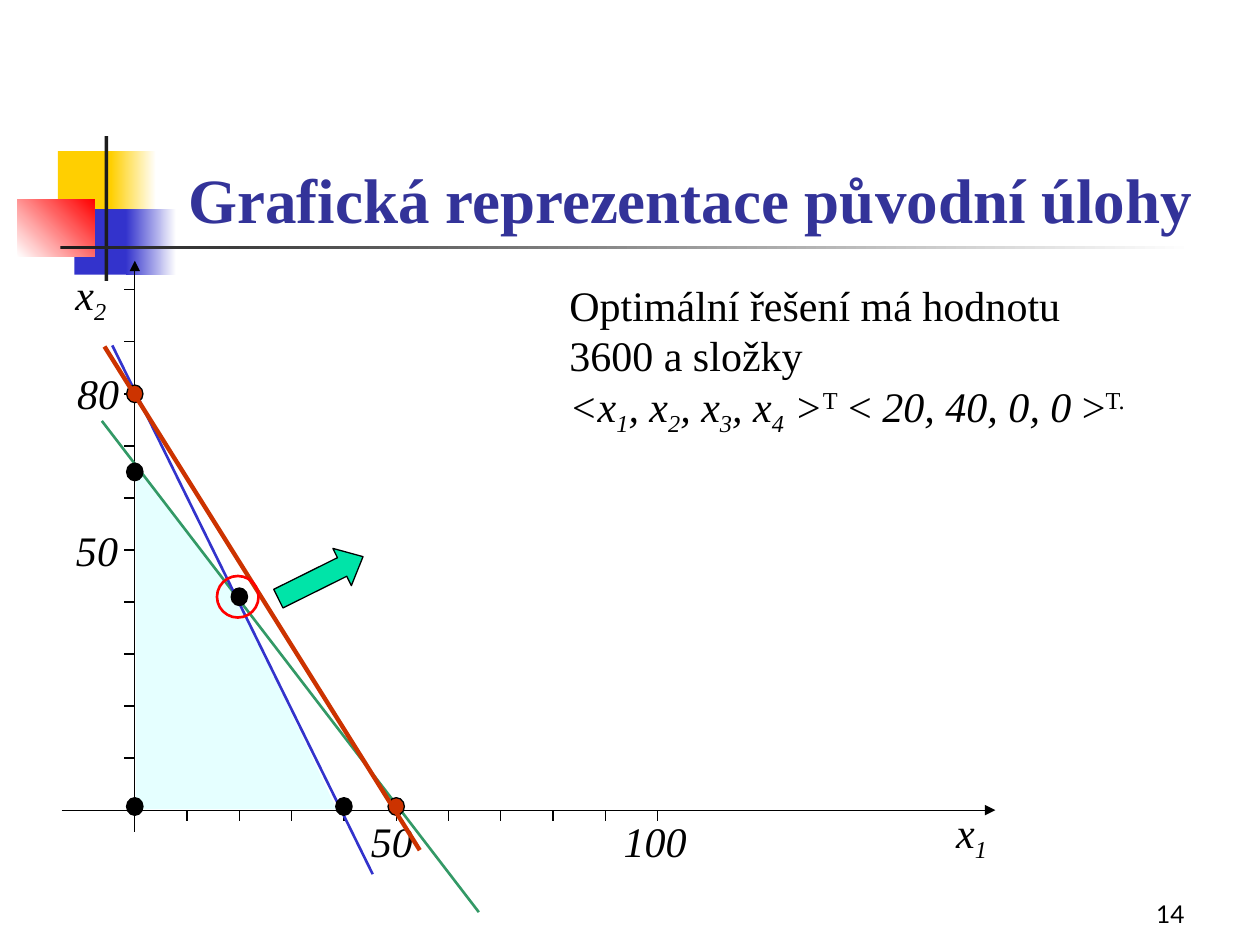
from lxml.etree import SubElement
from pptx import Presentation
from pptx.dml.color import RGBColor
from pptx.enum.shapes import MSO_CONNECTOR, MSO_SHAPE
from pptx.enum.text import MSO_ANCHOR, PP_ALIGN
from pptx.oxml.ns import qn
from pptx.util import Inches, Pt

COLORS = {
    "black": "000000", "white": "FFFFFF", "dark": "1C1C1C", "title": "333399",
    "yellow": "FFCF01", "blue": "3333CC", "red": "FF0000", "green": "339966",
    "orange": "CC3300", "region": "CCFFFF", "arrow": "00E4A8",
}
SERIF = "Times New Roman"
ORIGIN_X, ORIGIN_Y = 1.07, 6.43
UNIT_X, UNIT_Y = 0.0415, 0.0413
TICK = 0.085


def rgb(name):
    """Return the named colour."""
    return RGBColor.from_string(COLORS[name])


def graph(x, y):
    """Turn graph units into inches on the slide."""
    return ORIGIN_X + x * UNIT_X, ORIGIN_Y - y * UNIT_Y


def add_shape(s, kind, box, fill=None, line=None, width=0.75):
    """Add a preset shape; a pair of fill colours makes a gradient."""
    sp = s.shapes.add_shape(kind, *map(Inches, box))
    sp.shadow.inherit = False
    if fill is None:
        sp.fill.background()
    elif isinstance(fill, tuple):
        sp.fill.gradient()
        sp.fill.gradient_angle = 0
        for stop, name in zip(sp.fill.gradient_stops, fill):
            stop.color.rgb = rgb(name)
    else:
        sp.fill.solid()
        sp.fill.fore_color.rgb = rgb(fill)
    if line:
        sp.line.color.rgb = rgb(line)
        sp.line.width = Pt(width)
    else:
        sp.line.fill.background()
    return sp


def add_circle(s, point, size, **style):
    """Add an ellipse centred on a graph point."""
    x, y = graph(*point)
    w, h = size
    return add_shape(s, MSO_SHAPE.OVAL, (x - w / 2, y - h / 2, w, h), **style)


def add_line(s, start, end, color="black", width=0.75, arrow=None):
    """Add a straight line between two places in inches."""
    cx = s.shapes.add_connector(MSO_CONNECTOR.STRAIGHT, *map(Inches, (*start, *end)))
    cx.line.color.rgb = rgb(color)
    cx.line.width = Pt(width)
    if arrow:
        SubElement(cx.line._get_or_add_ln(), qn(f"a:{arrow}"), type="triangle")
    SubElement(cx._element.spPr, qn("a:effectLst"))


def add_text(s, box, runs, size=24, color="black", font=SERIF, bold=False,
             align=PP_ALIGN.LEFT, anchor=MSO_ANCHOR.TOP):
    """Add a text box from (text, italic, baseline percent) runs."""
    tf = s.shapes.add_textbox(*map(Inches, box)).text_frame
    tf.word_wrap = True
    tf.vertical_anchor = anchor
    p = tf.paragraphs[0]
    p.alignment = align
    p.font.size, p.font.name, p.font.bold = Pt(size), font, bold
    p.font.color.rgb = rgb(color)
    for text, italic, baseline in runs:
        if text == "\n":
            p.add_line_break()
            continue
        r = p.add_run()
        r.text = text
        r.font.italic = italic
        if baseline:
            r._r.get_or_add_rPr().set("baseline", str(baseline * 1000))


def add_ornament(s):
    """Draw the coloured blocks and bars beside the title."""
    blocks = [
        ((0.46, 1.2, 0.48, 0.52), "yellow"),
        ((0.88, 1.2, 0.36, 0.52), ("yellow", "white")),
        ((0.59, 1.66, 0.46, 0.52), "blue"),
        ((1, 1.66, 0.4, 0.52), ("blue", "white")),
        ((0.14, 1.58, 0.61, 0.46), ("white", "red")),
        ((0.83, 1.08, 0.03, 1.15), "dark"),
        ((0.48, 1.95, 9, 0.03), ("dark", "white")),
    ]
    for box, fill in blocks:
        sp = add_shape(s, MSO_SHAPE.RECTANGLE, box, fill)
        if fill == ("white", "red"):
            sp.fill.gradient_angle = 45


def add_region(s):
    """Fill the feasible region."""
    corners = [graph(*c) for c in ((0.2, 66.8), (0.2, 0.2), (38.6, 0.2), (19.3, 41.2))]
    points = [(Inches(x), Inches(y)) for x, y in corners]
    builder = s.shapes.build_freeform(*points[0])
    builder.add_line_segments(points[1:], close=True)
    sp = builder.convert_to_shape()
    sp.shadow.inherit = False
    sp.fill.solid()
    sp.fill.fore_color.rgb = rgb("region")
    SubElement(sp._element.spPr.find(f".//{qn('a:srgbClr')}"), qn("a:alpha"), val="50000")
    sp.line.fill.background()


def add_axes(s):
    """Draw both axes with ticks, names and numbers."""
    add_line(s, (ORIGIN_X, 2.07), (ORIGIN_X, 6.6), arrow="headEnd")
    add_line(s, (0.49, ORIGIN_Y), (7.9, ORIGIN_Y), arrow="tailEnd")
    for value in range(10, 101, 10):
        x, y = graph(value, value)
        add_line(s, (x, ORIGIN_Y), (x, ORIGIN_Y + TICK))
        add_line(s, (ORIGIN_X - TICK, y), (ORIGIN_X, y))
    for left, top, index in ((7.49, 6.35, "1"), (0.5, 2.08, "2")):
        add_text(s, (left, top, 1.08, 0.56), [("x", True, 0), (index, True, -25)])
    for left, top, number in ((2.61, 6.42, "50"), (4.7, 6.42, "100"),
                              (0.27, 4.11, "50"), (0.28, 2.87, "80")):
        add_text(s, (left, top, 1, 0.5), [(number, True, 0)], align=PP_ALIGN.CENTER)


def add_lines_and_points(s):
    """Draw the constraints, the objective line and the marked points."""
    dot = (0.13, 0.14)
    add_line(s, graph(-6.3, 74.8), graph(65.8, -19.6), "green", 1.5)
    add_line(s, graph(-4.3, 89.3), graph(45.5, -12.3), "blue", 1.5)
    for point in ((0, 80), (50, 0.7)):
        add_circle(s, point, dot, fill="orange", line="black")
    add_line(s, graph(-5.8, 89.1), graph(54.5, -7.7), "orange", 2.5)
    for point in ((0, 65), (20, 41), (40, 0.7), (0, 0.7)):
        add_circle(s, point, dot, fill="black", line="black")
    sp = add_shape(s, MSO_SHAPE.RIGHT_ARROW, (2.17, 4.42, 0.75, 0.33), "arrow", "black")
    sp.adjustments[1] = 0.56
    sp.rotation = 333.6
    add_circle(s, (19.7, 41), (0.33, 0.33), line="red", width=1.5)


def add_solution(s):
    """Write the optimal value and its components."""
    runs = [("Optimální řešení má hodnotu 3600 a složky", False, 0), ("\n", False, 0)]
    for prefix, index in zip(("<x", ", x", ", x", ", x"), "1234"):
        runs += [(prefix, True, 0), (index, True, -25)]
    runs += [(" >", True, 0), ("T", False, 30), (" < ", False, 0),
             ("20, 40, 0, 0", True, 0), (" >", False, 0), ("T.", False, 30)]
    add_text(s, (4.42, 2.17, 4.75, 1.36), runs)


def main():
    """Build the slide and save it."""
    prs = Presentation()
    prs.slide_width, prs.slide_height = Inches(10), Inches(7.5)
    s = prs.slides.add_slide(prs.slide_layouts[6])
    add_ornament(s)
    add_text(s, (7.42, 6.92, 2.08, 0.5), [("14", False, 0)], 14, font="Lato",
             align=PP_ALIGN.RIGHT, anchor=MSO_ANCHOR.BOTTOM)
    add_region(s)
    add_text(s, (1.22, 0.67, 8.52, 1.25), [("Grafická reprezentace původní úlohy", False, 0)],
             36, "title", bold=True, align=PP_ALIGN.CENTER, anchor=MSO_ANCHOR.BOTTOM)
    add_axes(s)
    add_lines_and_points(s)
    add_solution(s)
    prs.save("out.pptx")


if __name__ == "__main__":
    main()
